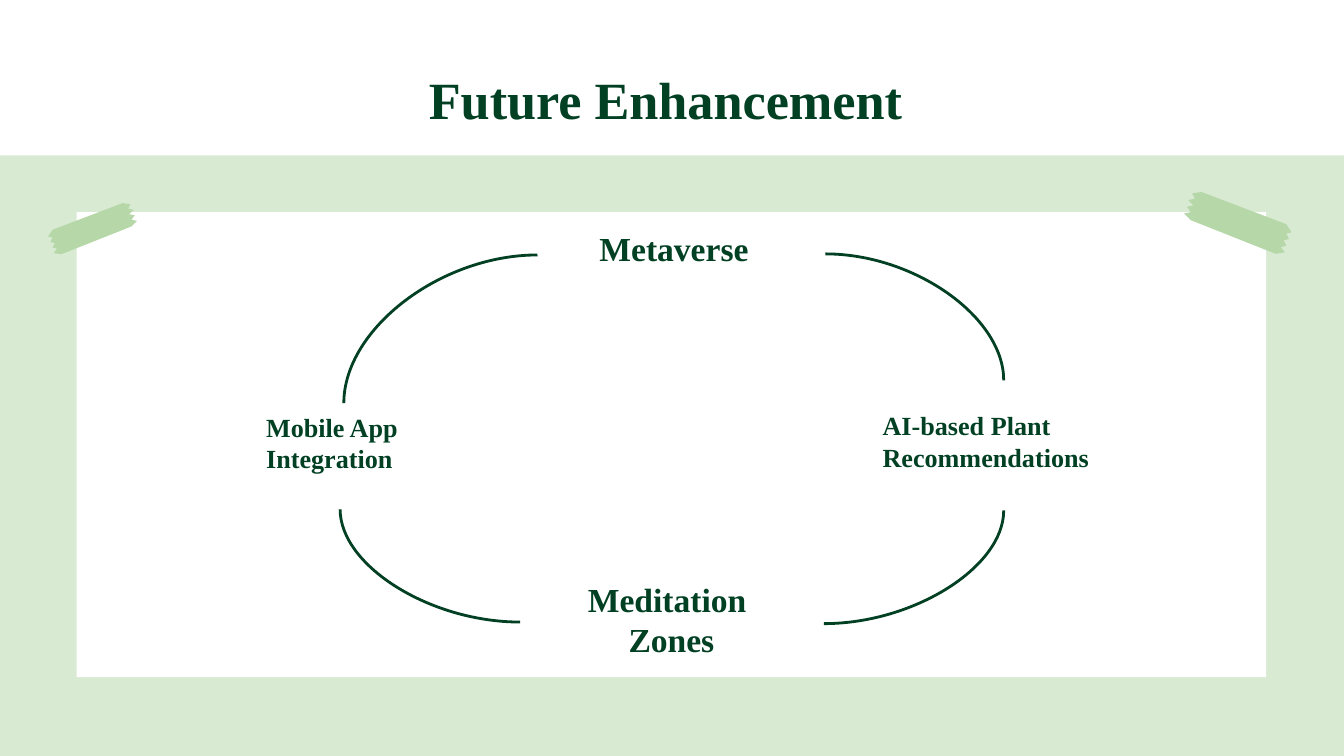
from lxml import etree
from pptx import Presentation
from pptx import util as u
from pptx.dml import color
from pptx.enum import shapes as sh, text as tx
from pptx.oxml import ns

GREEN, PALE, LEAF, WHITE = "014023", "D9EAD3", "B6D7A8", "FFFFFF"
FONT = "Times New Roman"
TAPE_W = 80
TAPE = [
    (6, 1), (13, 0), (76, 24), (80, 30), (76, 31), (78, 35), (74, 36),
    (76, 40), (72, 41), (75, 45), (68, 46), (5, 21), (0, 16), (5, 15),
    (2, 11), (7, 10), (3, 6), (8, 5),
]


def rgb(code):
    """Return the colour for a hex string."""
    return color.RGBColor.from_string(code)


def paint(shape, code):
    """Give a shape a flat fill with no line or shadow."""
    shape.shadow.inherit = False
    shape.fill.solid()
    shape.fill.fore_color.rgb = rgb(code)
    shape.line.fill.background()


def add_panel(slide, x, y, w, h):
    """Add a white rectangle."""
    box = slide.shapes.add_shape(
        sh.MSO_SHAPE.RECTANGLE, u.Cm(x), u.Cm(y), u.Cm(w), u.Cm(h))
    paint(box, WHITE)


def add_label(slide, lines, x, y, w, h, size, center=True, low=False):
    """Add bold green text, one paragraph per line."""
    box = slide.shapes.add_textbox(u.Cm(x), u.Cm(y), u.Cm(w), u.Cm(h))
    frame = box.text_frame
    frame.word_wrap = True
    if center:
        frame.margin_top = frame.margin_bottom = u.Cm(0.25)
    frame.vertical_anchor = tx.MSO_ANCHOR.BOTTOM if low else tx.MSO_ANCHOR.TOP
    frame.text = "\n".join(lines)
    for para in frame.paragraphs:
        para.alignment = tx.PP_ALIGN.CENTER if center else tx.PP_ALIGN.LEFT
        for run in para.runs:
            run.font.name = FONT
            run.font.size = u.Pt(size)
            run.font.bold = True
            run.font.color.rgb = rgb(GREEN)


def add_arc(slide, x1, y1, x2, y2):
    """Add a quarter curve that starts level and ends upright."""
    arc = slide.shapes.add_connector(
        sh.MSO_CONNECTOR.CURVE, u.Cm(x1), u.Cm(y1), u.Cm(x2), u.Cm(y2))
    arc.line.color.rgb = rgb(GREEN)
    arc.line.width = u.Pt(1.5)
    props = arc.element.spPr
    props.find(ns.qn("a:prstGeom")).set("prst", "curvedConnector2")
    etree.SubElement(props, ns.qn("a:effectLst"))


def add_tape(slide, x, y, unit, flip=False):
    """Add a torn strip of tape, mirrored on request."""
    dots = [(TAPE_W - a if flip else a, b) for a, b in TAPE]
    pen = slide.shapes.build_freeform(*dots[0], scale=u.Cm(unit))
    pen.add_line_segments(dots[1:], close=True)
    paint(pen.convert_to_shape(u.Cm(x), u.Cm(y)), LEAF)


def main():
    """Build and save the slide."""
    deck = Presentation()
    deck.slide_width, deck.slide_height = u.Cm(25.4), u.Cm(14.29)
    slide = deck.slides.add_slide(deck.slide_layouts[6])
    back = slide.background.fill
    back.solid()
    back.fore_color.rgb = rgb(PALE)

    add_panel(slide, 0, 0, 25.4, 2.94)
    add_panel(slide, 1.45, 4.01, 22.48, 8.79)
    add_label(slide, ["Future Enhancement "], 1.98, 1.02, 21.44, 1.6, 28)
    add_label(slide, ["Metaverse"], 9.88, 4.24, 5.72, 1.09, 18, low=True)
    add_label(slide, ["Meditation ", "Zones"],
              9.83, 11.63, 5.72, 1.09, 18, low=True)

    for ends in [(9.83, 11.76, 6.43, 9.63), (10.16, 4.82, 6.5, 7.62),
                 (15.6, 4.8, 18.97, 7.19), (15.57, 11.79, 18.97, 9.65)]:
        add_arc(slide, *ends)

    add_tape(slide, 22.38, 3.63, 0.0254)
    add_tape(slide, 0.91, 3.84, 0.021, flip=True)
    add_label(slide, ["Mobile App Integration"],
              4.78, 7.65, 4.22, 2.06, 14, center=False)
    add_label(slide, ["AI-based Plant Recommendations"],
              16.43, 7.62, 6.4, 2.06, 14, center=False)
    deck.save("out.pptx")


if __name__ == "__main__":
    main()
